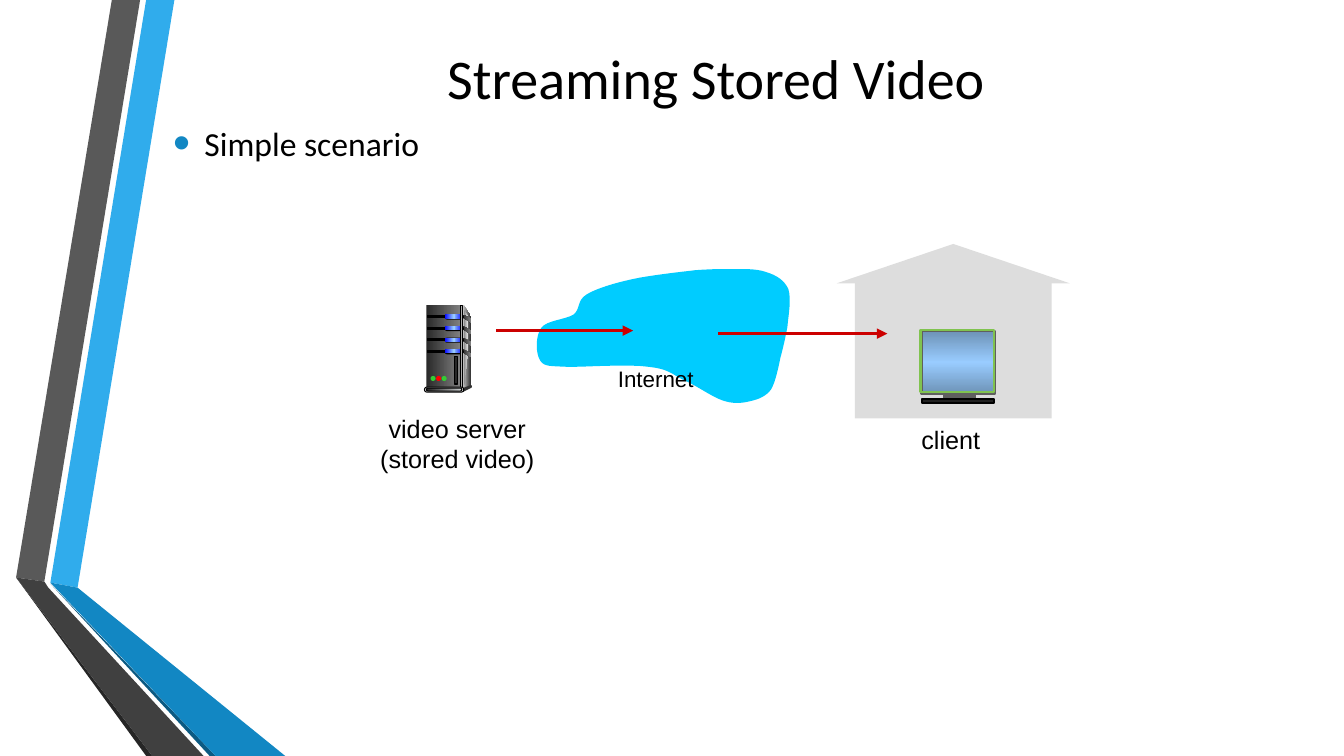
from lxml import etree
from pptx import Presentation
from pptx.dml.color import RGBColor
from pptx.enum import shapes as shape_enum, text as text_enum
from pptx.oxml.ns import qn
from pptx.util import Inches, Pt

BLACK = RGBColor(0x00, 0x00, 0x00)
CHARCOAL = RGBColor(0x29, 0x29, 0x29)
DARK = RGBColor(0x21, 0x21, 0x21)
SLATE = RGBColor(0x33, 0x33, 0x33)
STAND = RGBColor(0x5F, 0x5F, 0x5F)
GRAY = RGBColor(0x80, 0x80, 0x80)
SILVER = RGBColor(0xCD, 0xD0, 0xD1)
LIGHT = RGBColor(0xDD, 0xDD, 0xDD)
PALE = RGBColor(0xF8, 0xF8, 0xF8)
BLUE = RGBColor(0x00, 0x00, 0xFF)
SKY = RGBColor(0x99, 0xCC, 0xFF)
STEEL = RGBColor(0x6D, 0x92, 0xB6)
CLOUD = RGBColor(0x00, 0xCC, 0xFF)
GREEN = RGBColor(0x33, 0xCC, 0x33)
LIME = RGBColor(0x80, 0xC3, 0x4F)
RED = RGBColor(0xFF, 0x00, 0x00)
ARROW = RGBColor(0xCC, 0x00, 0x00)
BULLET = RGBColor(0x12, 0x87, 0xC3)

KIND = shape_enum.MSO_SHAPE

presentation = Presentation()
presentation.slide_width = Inches(13.33)
presentation.slide_height = Inches(7.5)
slide = presentation.slides.add_slide(presentation.slide_layouts[5])


def draw(kind, geometry, fill, line=None, width=0.75, angle=0):
    """Draw a preset shape from a box, or an outline from points (kind None).

    The fill is one colour, a list of evenly spaced gradient colours, or None.
    """
    if kind is None:
        points = [(Inches(x), Inches(y)) for x, y in geometry]
        builder = slide.shapes.build_freeform(*points[0], scale=1.0)
        builder.add_line_segments(points[1:], close=True)
        shape = builder.convert_to_shape()
    else:
        shape = slide.shapes.add_shape(kind, *[Inches(value) for value in geometry])
        if kind == KIND.ROUNDED_RECTANGLE:
            shape.adjustments[0] = 0.5
    shape.shadow.inherit = False
    if fill is None:
        shape.fill.background()
    elif isinstance(fill, list):
        shape.fill.gradient()
        shape.fill.gradient_angle = angle
        stops = shape._element.spPr.find(".//" + qn("a:gsLst"))
        for stop in list(stops):
            stops.remove(stop)
        for index, color in enumerate(fill):
            position = str(100000 * index // (len(fill) - 1))
            stop = etree.SubElement(stops, qn("a:gs"), pos=position)
            etree.SubElement(stop, qn("a:srgbClr"), val=str(color))
    else:
        shape.fill.solid()
        shape.fill.fore_color.rgb = fill
    if line is None:
        shape.line.fill.background()
    else:
        shape.line.color.rgb = line
        shape.line.width = Pt(width)


def write(frame, content, font, size, align):
    frame.text = content
    for paragraph in frame.paragraphs:
        paragraph.alignment = align
        for run in paragraph.runs:
            run.font.name = font
            run.font.size = Pt(size)
            run.font.color.rgb = BLACK


# Folded ribbons along the left edge
ribbons = [
    (RGBColor(0x30, 0xAC, 0xEC), [(0.5, 5.78), (0.77, 5.83), (1.73, 0), (1.45, 0)]),
    (RGBColor(0x59, 0x59, 0x59), [(1.39, 0), (1.11, 0), (0.16, 5.73), (0.44, 5.77)]),
    (RGBColor(0x26, 0x26, 0x26), [(0.16, 5.73), (1.45, 7.5), (1.51, 7.5)]),
    (RGBColor(0x0C, 0x5A, 0x82), [(0.5, 5.79), (2.08, 7.5), (2.14, 7.5)]),
    (BULLET, [(0.5, 5.78), (2.14, 7.5), (2.83, 7.5), (0.77, 5.83)]),
    (RGBColor(0x40, 0x40, 0x40),
     [(2.02, 7.5), (0.48, 5.83), (0.44, 5.77), (0.16, 5.73), (1.51, 7.5)]),
]
for color, points in ribbons:
    draw(None, points, color)

# Title
title = slide.shapes.title
title.left, title.top = Inches(1.62), Inches(0.36)
title.width, title.height = Inches(10.96), Inches(0.81)
title.text_frame.vertical_anchor = text_enum.MSO_ANCHOR.MIDDLE
write(title.text_frame, "Streaming Stored Video", "Calibri", 40, text_enum.PP_ALIGN.CENTER)

# Bulleted body
body = slide.shapes.add_textbox(Inches(1.62), Inches(1.17), Inches(10.96), Inches(5.17))
body.text_frame.word_wrap = True
body.text_frame.text = "Simple scenario"
paragraph = body.text_frame.paragraphs[0]
properties = paragraph._p.get_or_add_pPr()
properties.set("marL", str(Inches(0.31)))
properties.set("indent", str(-Inches(0.31)))
bullet_color = etree.SubElement(properties, qn("a:buClr"))
etree.SubElement(bullet_color, qn("a:srgbClr"), val=str(BULLET))
etree.SubElement(properties, qn("a:buSzPct"), val="145000")
etree.SubElement(properties, qn("a:buFont"), typeface="Arial")
etree.SubElement(properties, qn("a:buChar"), char="•")
paragraph.space_after = Pt(6)
bullet_font = paragraph.runs[0].font
bullet_font.name, bullet_font.size = "Calibri", Pt(24)
bullet_font.color.rgb = BLACK

# House
draw(KIND.ISOSCELES_TRIANGLE, (8.3, 2.42, 2.31, 0.39), LIGHT)
draw(KIND.RECTANGLE, (8.48, 2.8, 1.95, 1.35), LIGHT)

# Server tower
draw(None, [(4.6, 3.03), (4.67, 3.14), (4.67, 3.82), (4.58, 3.85)], [LIGHT, SLATE])
draw(KIND.RECTANGLE, (4.23, 3.03, 0.34, 0.82), [CHARCOAL, GRAY])
draw(None, [(4.6, 3.08), (4.65, 3.15), (4.63, 3.6), (4.6, 3.83)], [GRAY, PALE])

# Server drive bays, each with a side vent
for bay in range(4):
    top = 3.12 + 0.115 * bay
    draw(None, [(4.59, top), (4.67, top + 0.04), (4.67, top + 0.08), (4.59, top + 0.03)],
         [CHARCOAL, GRAY])
    draw(KIND.RECTANGLE, (4.24, top + 0.01, 0.19, 0.02), BLACK, BLACK)
    draw(KIND.ROUNDED_RECTANGLE, (4.41, top, 0.19, 0.05), BLACK)
    draw(KIND.ROUNDED_RECTANGLE, (4.41, top, 0.18, 0.04), [BLUE, SKY, BLUE])

# Server edge, foot, lights and slot
draw(KIND.RECTANGLE, (4.57, 3.03, 0.02, 0.82), [SLATE, LIGHT, SLATE], BLACK)
draw(KIND.OVAL, (4.66, 3.82, 0.02, 0.03), SLATE)
draw(None, [(4.59, 3.85), (4.59, 3.89), (4.67, 3.85), (4.67, 3.82)], SLATE)
draw(KIND.ROUNDED_RECTANGLE, (4.21, 3.84, 0.39, 0.05), LIGHT, BLACK)
draw(KIND.ROUNDED_RECTANGLE, (4.23, 3.85, 0.35, 0.03), [DARK, SILVER], BLACK)
for index, color in enumerate([GREEN, RED, GREEN]):
    draw(KIND.OVAL, (4.27 + 0.055 * index, 3.73, 0.05, 0.05), color)
draw(KIND.RECTANGLE, (4.51, 3.54, 0.03, 0.27), CHARCOAL, BLACK)

# Client monitor
draw(KIND.RECTANGLE, (9.14, 3.28, 0.73, 0.63), [STEEL, SKY, STEEL], STAND, 1.5, 90)
draw(KIND.RECTANGLE, (9.36, 3.91, 0.31, 0.04), STAND, STAND, 1.5)
draw(KIND.RECTANGLE, (9.14, 3.96, 0.72, 0.04), DARK, BLACK, 1.5)
draw(KIND.RECTANGLE, (9.13, 3.27, 0.73, 0.62), None, LIME, 1.5)

# Internet cloud: cubic curves as (control, control, end), sampled into short segments
cloud_curves = [
    ((6.74, 2.7), (6.45, 2.73), (6.27, 2.77)), ((6.09, 2.81), (5.92, 2.86), (5.82, 2.92)),
    ((5.72, 2.98), (5.76, 3.06), (5.69, 3.12)), ((5.61, 3.17), (5.42, 3.18), (5.37, 3.25)),
    ((5.31, 3.33), (5.31, 3.51), (5.36, 3.58)), ((5.4, 3.64), (5.46, 3.63), (5.64, 3.64)),
    ((5.82, 3.64), (6.24, 3.61), (6.44, 3.64)), ((6.63, 3.66), (6.66, 3.71), (6.78, 3.77)),
    ((6.9, 3.82), (7.05, 3.93), (7.16, 3.97)), ((7.27, 4.01), (7.36, 4), (7.44, 3.98)),
    ((7.53, 3.96), (7.6, 3.93), (7.65, 3.86)), ((7.69, 3.79), (7.72, 3.65), (7.74, 3.55)),
    ((7.77, 3.44), (7.79, 3.35), (7.81, 3.24)), ((7.82, 3.13), (7.85, 2.97), (7.82, 2.87)),
    ((7.78, 2.78), (7.7, 2.73), (7.6, 2.7)), ((7.5, 2.66), (7.33, 2.67), (7.21, 2.67)),
    ((7.1, 2.67), (7.06, 2.67), (6.9, 2.68)),
]
steps = 8
cloud_points = [(6.9, 2.68)]
for curve in cloud_curves:
    corners = (cloud_points[-1], *curve)
    for step in range(1, steps + 1):
        t = step / steps
        weights = ((1 - t) ** 3, 3 * t * (1 - t) ** 2, 3 * t ** 2 * (1 - t), t ** 3)
        cloud_points.append(tuple(
            sum(weight * corner[axis] for weight, corner in zip(weights, corners))
            for axis in (0, 1)))
draw(None, cloud_points, CLOUD)

# Stream arrows
for start, end, y in [(4.92, 6.28, 3.28), (7.12, 8.8, 3.31)]:
    arrow = slide.shapes.add_connector(
        shape_enum.MSO_CONNECTOR.STRAIGHT, Inches(start), Inches(y), Inches(end), Inches(y))
    arrow.line.color.rgb = ARROW
    arrow.line.width = Pt(2.5)
    etree.SubElement(arrow.line._get_or_add_ln(), qn("a:tailEnd"), type="triangle")
    etree.SubElement(arrow._element.spPr, qn("a:effectLst"))

# Labels
labels = [
    ("video server\n(stored video)", (3.63, 4.05, 1.81, 0.77), 18, text_enum.PP_ALIGN.CENTER),
    ("client", (9.04, 4.16, 0.84, 0.4), 18, text_enum.PP_ALIGN.LEFT),
    ("Internet", (6.03, 3.57, 1.01, 0.37), 16, text_enum.PP_ALIGN.LEFT),
]
for content, box, size, align in labels:
    label = slide.shapes.add_textbox(*[Inches(value) for value in box])
    label.text_frame.word_wrap = False
    label.text_frame.auto_size = text_enum.MSO_AUTO_SIZE.SHAPE_TO_FIT_TEXT
    write(label.text_frame, content, "Arial", size, align)

presentation.save("out.pptx")
